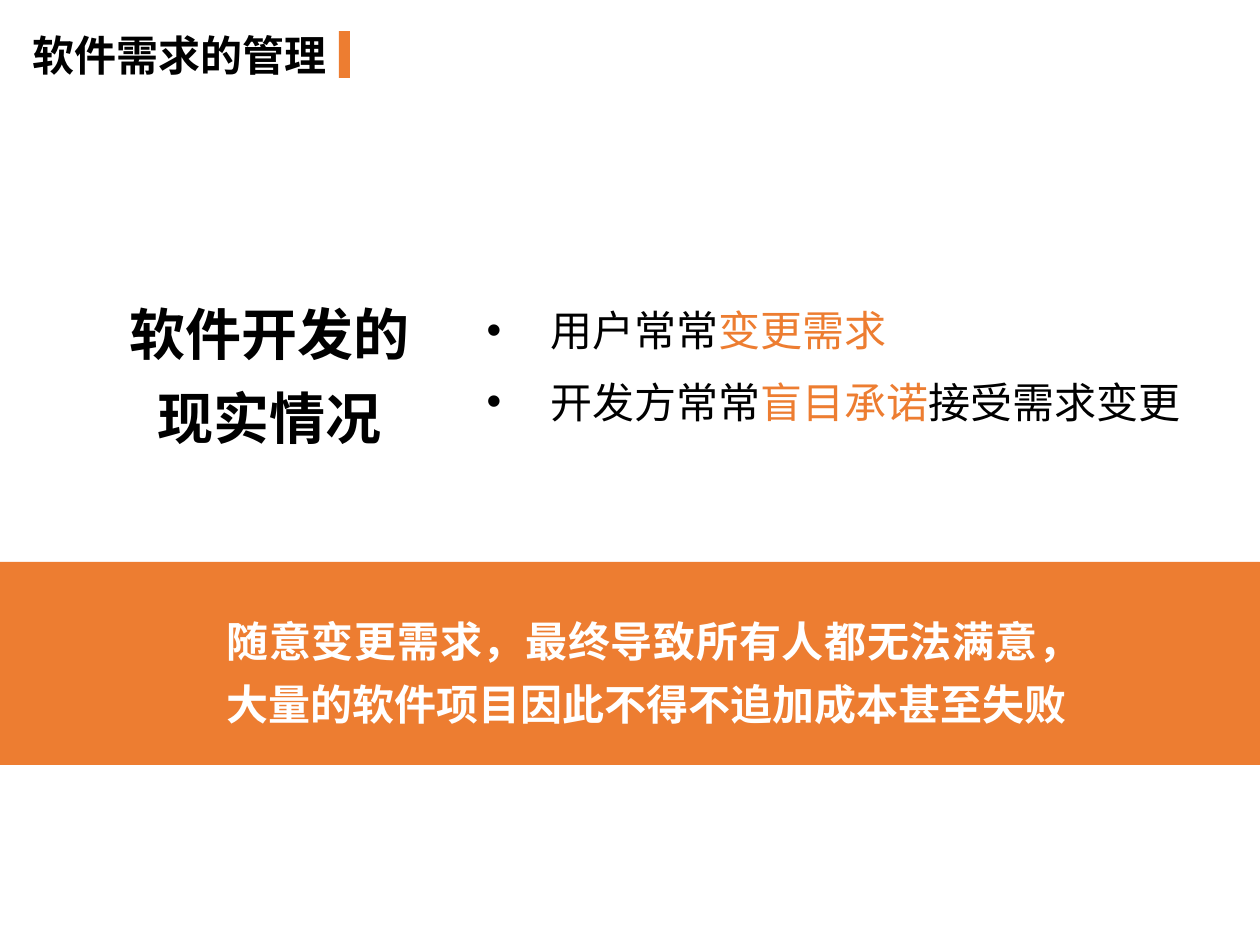
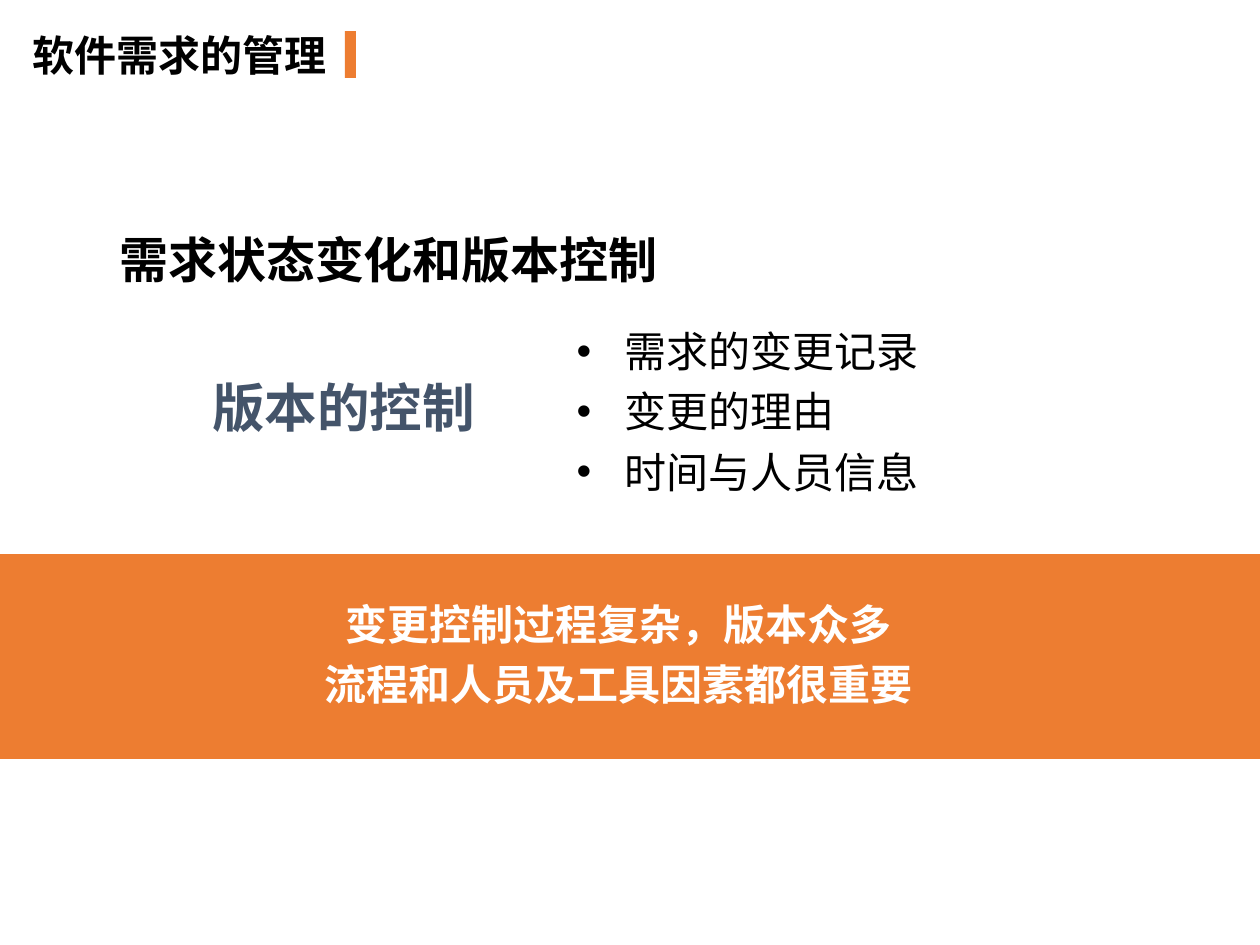
from lxml import etree
from pptx import Presentation
from pptx import util as u
from pptx.dml.color import RGBColor
from pptx.enum import shapes, text
from pptx.oxml.ns import qn

EMU_PER_PX = 914400 / 126
ORANGE, BLACK, WHITE, SLATE = "ED7D31", "000000", "FFFFFF", "44546A"
SANS, SERIF = "Noto Sans CJK SC", "Times New Roman"
LEFT, CENTER, JUSTIFY = text.PP_ALIGN.LEFT, text.PP_ALIGN.CENTER, text.PP_ALIGN.JUSTIFY


def px(length):
    return u.Emu(round(length * EMU_PER_PX))


def color(value):
    return RGBColor.from_string(value)


class Deck:
    """Holds the shared style and the slide being built."""

    def __init__(self):
        self.presentation = Presentation()
        self.presentation.slide_width = px(1260)
        self.presentation.slide_height = px(945)
        self.slide = None

    def new_slide(self, title, marker_left):
        layout = self.presentation.slide_layouts[1]
        self.slide = self.presentation.slides.add_slide(layout)
        self.place(self.slide.shapes.title, (20, 23, 431, 63))
        self.fill_text(self.slide.shapes.title, [[(title, BLACK)]], 24, bold=True)
        self.rectangle(marker_left, 31, 11, 47)

    def place(self, shape, box):
        shape.left, shape.top, shape.width, shape.height = map(px, box)

    def rectangle(self, left, top, width, height):
        shape = self.slide.shapes.add_shape(
            shapes.MSO_SHAPE.RECTANGLE, *map(px, (left, top, width, height)))
        shape.shadow.inherit = False
        shape.fill.solid()
        shape.fill.fore_color.rgb = color(ORANGE)
        shape.line.fill.background()

    def band(self, top, height):
        self.rectangle(0, top, 1260, height)

    def text_box(self, box, paragraphs, size, wrap=True, **style):
        shape = self.slide.shapes.add_textbox(*map(px, box))
        self.fill_text(shape, paragraphs, size, wrap=wrap, **style)

    def bullets(self, box, paragraphs, indent, **style):
        body = self.slide.placeholders[1]
        self.place(body, box)
        self.fill_text(body, paragraphs, 24, **style)
        for paragraph in body.text_frame.paragraphs:
            properties = paragraph._p.get_or_add_pPr()
            properties.set("marL", str(px(indent)))
            properties.set("indent", str(-px(indent)))

    def fill_text(self, shape, paragraphs, size, bold=False, align=LEFT,
                  spacing=1.0, before=0, font=SANS, wrap=True):
        """Each paragraph is a list of (words, colour) runs."""
        frame = shape.text_frame
        frame.word_wrap = wrap
        frame.auto_size = text.MSO_AUTO_SIZE.NONE
        frame.vertical_anchor = text.MSO_ANCHOR.TOP
        for index, runs in enumerate(paragraphs):
            paragraph = frame.add_paragraph() if index else frame.paragraphs[0]
            paragraph.alignment = align
            paragraph.line_spacing = spacing
            paragraph.space_before = u.Pt(before)
            for words, run_color in runs:
                run = paragraph.add_run()
                run.text = words
                run.font.size = u.Pt(size)
                run.font.bold = bold
                run.font.color.rgb = color(run_color)
                run.font.name = font
                # East Asian characters take their own typeface
                east_asian = etree.Element(qn("a:ea"), typeface=SANS)
                run.font._element.find(qn("a:latin")).addnext(east_asian)


def build_reality_slide(deck):
    deck.new_slide("软件需求的管理", marker_left=339)
    deck.band(562, 203)
    # Topic and its two facts
    deck.text_box((105, 277, 329, 175), [[("软件开发的现实情况", BLACK)]], 32,
                  bold=True, align=CENTER, spacing=1.25)
    deck.bullets((474, 286, 743, 150), [
        [("用户常常", BLACK), ("变更需求", ORANGE)],
        [("开发方常常", BLACK), ("盲目承诺", ORANGE), ("接受需求变更", BLACK)],
    ], indent=64, spacing=1.25, before=4.8)
    # Conclusion on the band
    conclusion = "随意变更需求，最终导致所有人都无法满意，大量的软件项目因此不得不追加成本甚至失败"
    deck.text_box((214, 597, 879, 140), [[(conclusion, WHITE)]], 24,
                  bold=True, align=JUSTIFY, spacing=1.25)


def build_version_slide(deck):
    deck.new_slide("软件需求的管理", marker_left=345)
    deck.band(554, 205)
    # Heading, topic and its records
    deck.text_box((107, 223, 630, 72), [[("需求状态变化和版本控制", BLACK)]], 28,
                  bold=True, align=JUSTIFY)
    deck.text_box((200, 369, 291, 77), [[("版本的控制", SLATE)]], 30,
                  bold=True, align=JUSTIFY, wrap=False)
    records = ("需求的变更记录", "变更的理由", "时间与人员信息")
    deck.bullets((564, 309, 630, 188), [[(record, BLACK)] for record in records],
                 indent=48, align=JUSTIFY, spacing=1.2)
    # Conclusion on the band
    conclusions = ("变更控制过程复杂，版本众多", "流程和人员及工具因素都很重要")
    deck.text_box((239, 582, 759, 135), [[(line, WHITE)] for line in conclusions], 24,
                  bold=True, align=CENTER, spacing=1.2, font=SERIF)


def main():
    deck = Deck()
    build_reality_slide(deck)
    build_version_slide(deck)
    deck.presentation.save("out.pptx")


if __name__ == "__main__":
    main()
